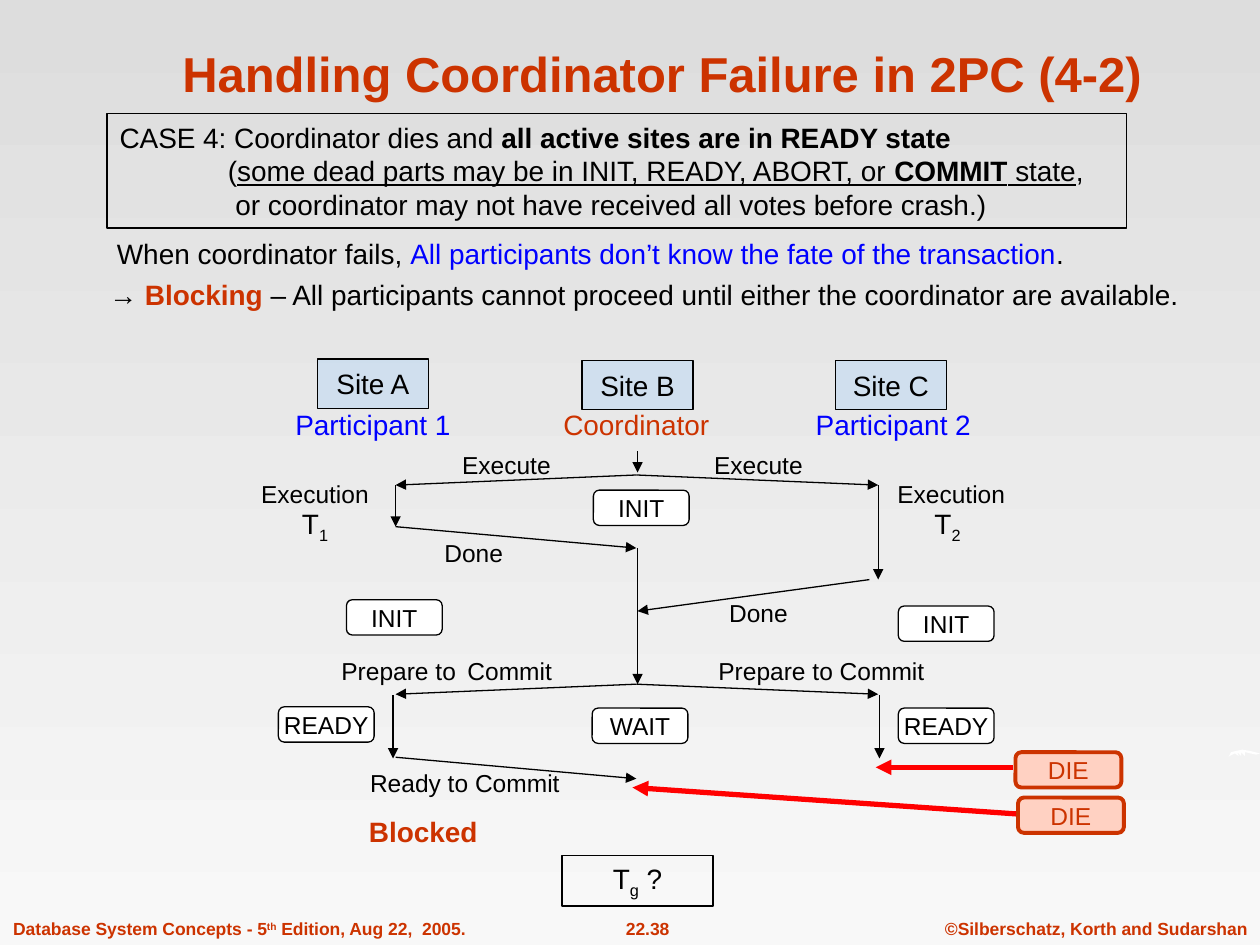
from dataclasses import dataclass
from typing import NamedTuple

from lxml import etree
from pptx import Presentation
from pptx import util as u
from pptx.dml.color import RGBColor
from pptx.enum import shapes, text
from pptx.oxml import ns


@dataclass(frozen=True)
class Theme:
    font: str = "Arial"
    ink: str = "000000"
    accent: str = "CC3300"
    blue: str = "0000FF"
    red: str = "FF0000"
    white: str = "FFFFFF"
    site: str = "99CCFF"
    die: str = "FFD1C2"
    sky: tuple = ("DDDDDD", "F8F8F8")
    title: int = 28
    body: int = 16
    small: int = 14
    footer: int = 10


T = Theme()
CENTER, LEFT = text.PP_ALIGN.CENTER, text.PP_ALIGN.LEFT
ROUND, RECT = shapes.MSO_SHAPE.ROUNDED_RECTANGLE, shapes.MSO_SHAPE.RECTANGLE


class Run(NamedTuple):
    text: str
    fmt: dict = {}


class Label(NamedTuple):
    x: float
    y: float
    runs: list
    size: int = T.small
    color: str = T.ink
    bold: bool = False
    w: float = 2.0
    align: int = CENTER


class Box(NamedTuple):
    x: float
    y: float
    w: float
    h: float
    runs: list
    kind: int = ROUND
    fill: str | None = T.white
    line: str = T.ink
    weight: float = 0.75
    size: int = T.small
    color: str = T.ink
    alpha: int = 100


class Arrow(NamedTuple):
    x1: float
    y1: float
    x2: float
    y2: float
    color: str = T.ink
    weight: float = 0.75


def rgb(value: str) -> RGBColor:
    return RGBColor.from_string(value)


def write(p, content: str, *, size=T.body, color=T.ink, bold=False,
          underline=False, baseline=0) -> None:
    r = p.add_run()
    r.text = content
    f = r.font
    f.name, f.size, f.bold = T.font, u.Pt(size), bold
    f.underline = underline or None
    f.color.rgb = rgb(color)
    if baseline:
        f._element.set("baseline", str(baseline * 1000))


def fill_text(tf, lines: list, *, align=CENTER, anchor=text.MSO_ANCHOR.MIDDLE,
              wrap=False, indents=(), gap=0, **fmt) -> None:
    tf.word_wrap, tf.vertical_anchor = wrap, anchor
    for i, runs in enumerate(lines):
        p = tf.add_paragraph() if i else tf.paragraphs[0]
        p.alignment = align
        if i and gap:
            p.space_before = u.Pt(gap)
        if indents:
            p._p.get_or_add_pPr().set("marL", str(u.Inches(indents[i])))
        for run in runs:
            write(p, run.text, **{**fmt, **run.fmt})


def add_text(s, x: float, y: float, w: float, h: float, lines: list, **fmt):
    sp = s.shapes.add_textbox(*map(u.Inches, (x, y, w, h)))
    fill_text(sp.text_frame, lines, **{"wrap": True, **fmt})
    return sp


def add_label(s, d: Label) -> None:
    sp = add_text(s, d.x - d.w / 2, d.y - 0.15, d.w, 0.3, [d.runs],
                  size=d.size, color=d.color, bold=d.bold, align=d.align)
    tf = sp.text_frame
    tf.margin_left = tf.margin_right = tf.margin_top = tf.margin_bottom = 0


def add_box(s, d: Box, **fmt) -> None:
    sp = s.shapes.add_shape(d.kind, *map(u.Inches, (d.x, d.y, d.w, d.h)))
    sp.shadow.inherit = False
    if d.fill:
        sp.fill.solid()
        sp.fill.fore_color.rgb = rgb(d.fill)
        if d.alpha < 100:
            clr = sp._element.spPr.find(".//" + ns.qn("a:srgbClr"))
            etree.SubElement(clr, ns.qn("a:alpha")).set("val", str(d.alpha * 1000))
    else:
        sp.fill.background()
    sp.line.color.rgb, sp.line.width = rgb(d.line), u.Pt(d.weight)
    lines = d.runs if isinstance(d.runs[0], list) else [d.runs]
    fill_text(sp.text_frame, lines, size=d.size, color=d.color, **fmt)


def add_arrow(s, d: Arrow) -> None:
    c = s.shapes.add_connector(shapes.MSO_CONNECTOR.STRAIGHT,
                               *map(u.Inches, (d.x1, d.y1, d.x2, d.y2)))
    c.line.color.rgb, c.line.width = rgb(d.color), u.Pt(d.weight)
    etree.SubElement(c.line._get_or_add_ln(), ns.qn("a:tailEnd")).set("type", "triangle")
    etree.SubElement(c._element.spPr, ns.qn("a:effectLst"))


def add_swoosh(s) -> None:
    edge = [(975, 601), (977, 597), (981, 596), (986, 595), (992, 596),
            (1000, 598), (997, 599), (988, 597), (988, 600), (985, 597),
            (985, 600), (982, 597), (983, 600), (980, 598), (976, 600)]
    fb = s.shapes.build_freeform(*edge[0], scale=u.Inches(0.01))
    fb.add_line_segments(edge[1:])
    sp = fb.convert_to_shape()
    sp.shadow.inherit = False
    sp.fill.solid()
    sp.fill.fore_color.rgb = rgb(T.white)
    sp.line.fill.background()


def sub(base: str, index: str, rest: str = "") -> list[Run]:
    return [Run(base), Run(index, {"baseline": -25})] + ([Run(rest)] if rest else [])


BOLD, LINED = {"bold": True}, {"underline": True}
CASE = [
    [Run("CASE 4: Coordinator dies and "), Run("all active sites are in READY state", BOLD)],
    [Run("("), Run("some dead parts may be in INIT, READY, ABORT, or ", LINED),
     Run("COMMIT", BOLD | LINED), Run(" state", LINED), Run(",")],
    [Run("or coordinator may not have received all votes before crash.)")],
]
NOTES = [
    [Run("When coordinator fails, "),
     Run("All participants don’t know the fate of the transaction", {"color": T.blue}), Run(".")],
    [Run("→ "), Run("Blocking", {"bold": True, "color": T.accent}),
     Run(" – All participants cannot proceed until either the coordinator are available.")],
]
LABELS = [Label(x, 3.37, [Run(t)], T.body, c) for x, t, c in (
    (2.96, "Participant 1", T.blue), (5.05, "Coordinator", T.accent),
    (7.09, "Participant 2", T.blue))]
LABELS += [Label(x, y, [Run(t)]) for x, y, t in (
    (4.02, 3.69, "Execute"), (6.02, 3.69, "Execute"), (2.5, 3.92, "Execution"),
    (7.55, 3.92, "Execution"), (3.76, 4.39, "Done"), (6.02, 4.86, "Done"),
    (6.52, 5.32, "Prepare to Commit"), (3.69, 6.21, "Ready to Commit"))]
LABELS += [Label(3.71, 5.32, [Run("Prepare to\tCommit")], align=LEFT),
           Label(3.36, 6.6, [Run("Blocked")], T.body, T.accent, True)]
LABELS += [Label(x, 4.17, sub("T", n), T.body) for x, n in ((2.5, "1"), (7.52, "2"))]
LABELS += [Label(x, 7.37, runs, T.footer, T.accent, True, w) for x, w, runs in (
    (1.9, 3.75, [Run("Database System Concepts - 5"), Run("th", {"baseline": 30}),
                 Run(" Edition, Aug 22,  2005.")]),
    (5.14, 1, [Run("22.38")]), (8.7, 2.58, [Run("©Silberschatz, Korth and Sudarshan")]))]

BOXES = [Box(x, y, 0.88, 0.39, [Run(f"Site {n}")], RECT, T.site, size=T.body, alpha=30)
         for x, y, n in ((2.52, 2.85, "A"), (4.62, 2.86, "B"), (6.63, 2.86, "C"))]
BOXES += [Box(x, y, 0.76, 0.28, [Run(t)]) for x, y, t in (
    (4.71, 3.89, "INIT"), (2.75, 4.76, "INIT"), (7.13, 4.81, "INIT"),
    (4.7, 5.62, "WAIT"), (7.13, 5.62, "READY"), (2.21, 5.61, "READY"))]
BOXES += [Box(x, y, 0.84, 0.28, [Run("DIE")], ROUND, T.die, T.accent, 2.25, color=T.accent)
          for x, y in ((8.06, 5.97), (8.08, 6.33))]
BOXES += [Box(4.46, 6.79, 1.2, 0.4, sub("T", "g", " ?"), RECT, None, size=T.body)]

ARROWS = [Arrow(5.05, y, x, y + 0.08) for y in (3.77, 5.43) for x in (3.14, 6.97)]
ARROWS += [Arrow(x, y1, x, y2) for x, y1, y2 in (
    (5.06, 3.58, 3.75), (3.14, 3.85, 4.18), (6.97, 3.85, 4.6),
    (5.06, 4.35, 5.43), (3.12, 5.52, 6.02), (6.98, 5.52, 6.02))]
ARROWS += [Arrow(3.14, y, 5.05, y + 0.17) for y in (4.18, 6.01)]
ARROWS += [Arrow(6.9, 4.6, 5.06, 4.85), Arrow(8.07, 6.46, 5.02, 6.25, T.red, 3),
           Arrow(8.04, 6.09, 6.95, 6.09, T.red, 3)]


def main() -> None:
    prs = Presentation()
    prs.slide_width, prs.slide_height = u.Inches(10), u.Inches(7.5)
    s = prs.slides.add_slide(prs.slide_layouts[6])
    bg = s.background.fill
    bg.gradient()
    bg.gradient_angle = 270
    for stop, color, pos in zip(bg.gradient_stops, T.sky, (0, 1)):
        stop.color.rgb, stop.position = rgb(color), pos
    add_swoosh(s)
    add_text(s, 0.84, 0.19, 8.83, 0.67, [[Run("Handling Coordinator Failure in 2PC (4-2)")]],
             size=T.title, color=T.accent, bold=True, anchor=text.MSO_ANCHOR.BOTTOM)
    add_box(s, Box(0.85, 0.9, 8.09, 0.91, CASE, RECT, None, size=T.body),
            align=LEFT, wrap=True, indents=(0, 0.86, 0.92))
    add_text(s, 0.71, 1.83, 9.13, 0.72, NOTES, align=LEFT, gap=4,
             indents=(0.12, 0.06), anchor=text.MSO_ANCHOR.TOP)
    for draw, items in ((add_arrow, ARROWS), (add_box, BOXES), (add_label, LABELS)):
        for item in items:
            draw(s, item)
    prs.save("out.pptx")


if __name__ == "__main__":
    main()
